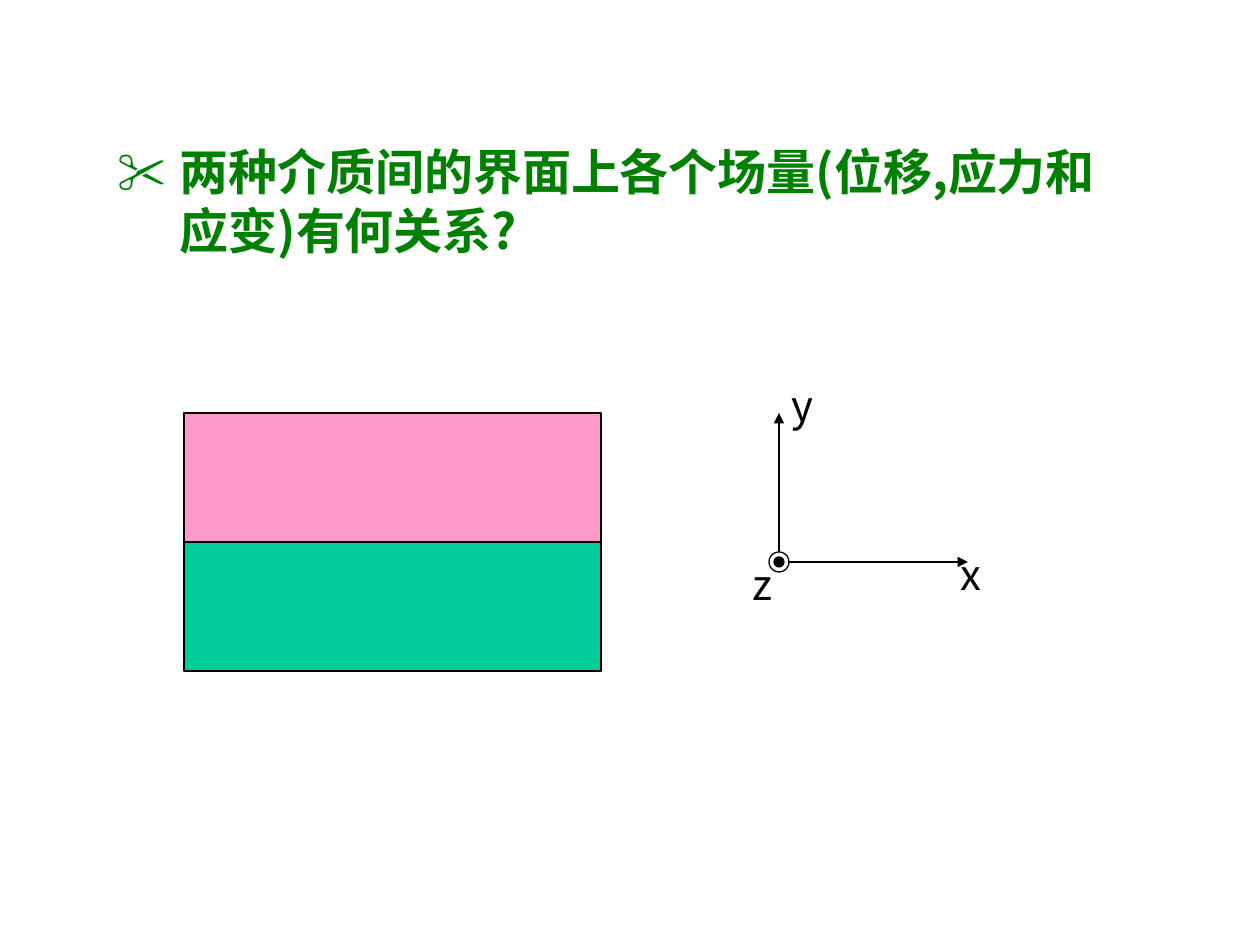
from lxml import etree
from pptx import Presentation, util as u
from pptx.dml.color import RGBColor
from pptx.enum import shapes, text
from pptx.oxml.ns import qn

PX = 914400 // 126
FONT = "Noto Sans CJK SC"
BLACK, GREEN = "000000", "008000"

QUESTION = "两种介质间的界面上各个场量(位移,应力和应变)有何关系?"
QUESTION_BOX = (105, 135, 1012, 131)
BULLET, HANG = "✂", 62

MEDIA = ["FF99CC", "00CC99"]  # upper, lower
MEDIA_LEFT, MEDIA_TOP, MEDIA_WIDTH, MEDIA_HEIGHT = 184, 413, 417, 129

ORIGIN = (779, 562)
AXIS_ENDS = [(968, 562), (779, 413)]
Z_SYMBOL = [(10, "FFFFFF"), (5, BLACK)]  # radius, fill
AXIS_LABELS = [("x", (948, 542, 47, 63)), ("y", (779, 373, 47, 63)),
               ("z", (740, 552, 44, 63))]


def px(*lengths):
    return [u.Emu(length * PX) for length in lengths]


def colour(value):
    return RGBColor.from_string(value)


def add_child(parent, tag, **attributes):
    return etree.SubElement(parent, qn(tag), attributes)


def style_text(frame, wording, wrap, **font):
    frame.word_wrap = wrap
    frame.auto_size = text.MSO_AUTO_SIZE.NONE
    frame.vertical_anchor = text.MSO_ANCHOR.TOP
    para = frame.paragraphs[0]
    para.alignment = text.PP_ALIGN.LEFT
    span = para.add_run()
    span.text = wording
    span.font.color.rgb = colour(font.pop("color"))
    for name, value in {"name": FONT, **font}.items():
        setattr(span.font, name, value)
    add_child(span.font._element, "a:ea", typeface=FONT)
    return para


def add_outlined(owner, kind, box, fill):
    shape = owner.add_shape(kind, *px(*box))
    shape.shadow.inherit = False
    shape.fill.solid()
    shape.fill.fore_color.rgb = colour(fill)
    shape.line.color.rgb = colour(BLACK)
    shape.line.width = u.Pt(0.75)


def add_question(page):
    title = page.shapes.title
    title.left, title.top, title.width, title.height = px(*QUESTION_BOX)
    para = style_text(title.text_frame, QUESTION, True,
                      size=u.Pt(28), bold=True, color=GREEN)
    para.space_before = u.Pt(0)
    props = para._p.get_or_add_pPr()
    props.set("marL", str(HANG * PX))
    props.set("indent", str(-HANG * PX))
    add_child(add_child(props, "a:buClr"), "a:srgbClr", val=GREEN)
    add_child(props, "a:buFont", typeface=FONT)
    add_child(props, "a:buChar", char=BULLET)


def add_axis(page, end):
    axis = page.shapes.add_connector(shapes.MSO_CONNECTOR.STRAIGHT,
                                     *px(*ORIGIN, *end))
    axis.line.color.rgb = colour(BLACK)
    axis.line.width = u.Pt(0.75)
    add_child(axis.line._get_or_add_ln(), "a:tailEnd", type="triangle")
    add_child(axis._element.spPr, "a:effectLst")


def main():
    deck = Presentation()
    deck.slide_width, deck.slide_height = u.Inches(10), u.Inches(7.5)
    page = deck.slides.add_slide(deck.slide_layouts.get_by_name("Title Only"))
    add_question(page)

    for row, fill in enumerate(MEDIA):
        box = (MEDIA_LEFT, MEDIA_TOP + row * MEDIA_HEIGHT,
               MEDIA_WIDTH, MEDIA_HEIGHT)
        add_outlined(page.shapes, shapes.MSO_SHAPE.RECTANGLE, box, fill)

    for end in AXIS_ENDS:
        add_axis(page, end)
    z_symbol = page.shapes.add_group_shape()
    for radius, fill in Z_SYMBOL:
        box = (ORIGIN[0] - radius, ORIGIN[1] - radius, 2 * radius, 2 * radius)
        add_outlined(z_symbol.shapes, shapes.MSO_SHAPE.OVAL, box, fill)
    for letter, box in AXIS_LABELS:
        label = page.shapes.add_textbox(*px(*box))
        style_text(label.text_frame, letter, False, size=u.Pt(24), color=BLACK)

    deck.save("out.pptx")


if __name__ == "__main__":
    main()
